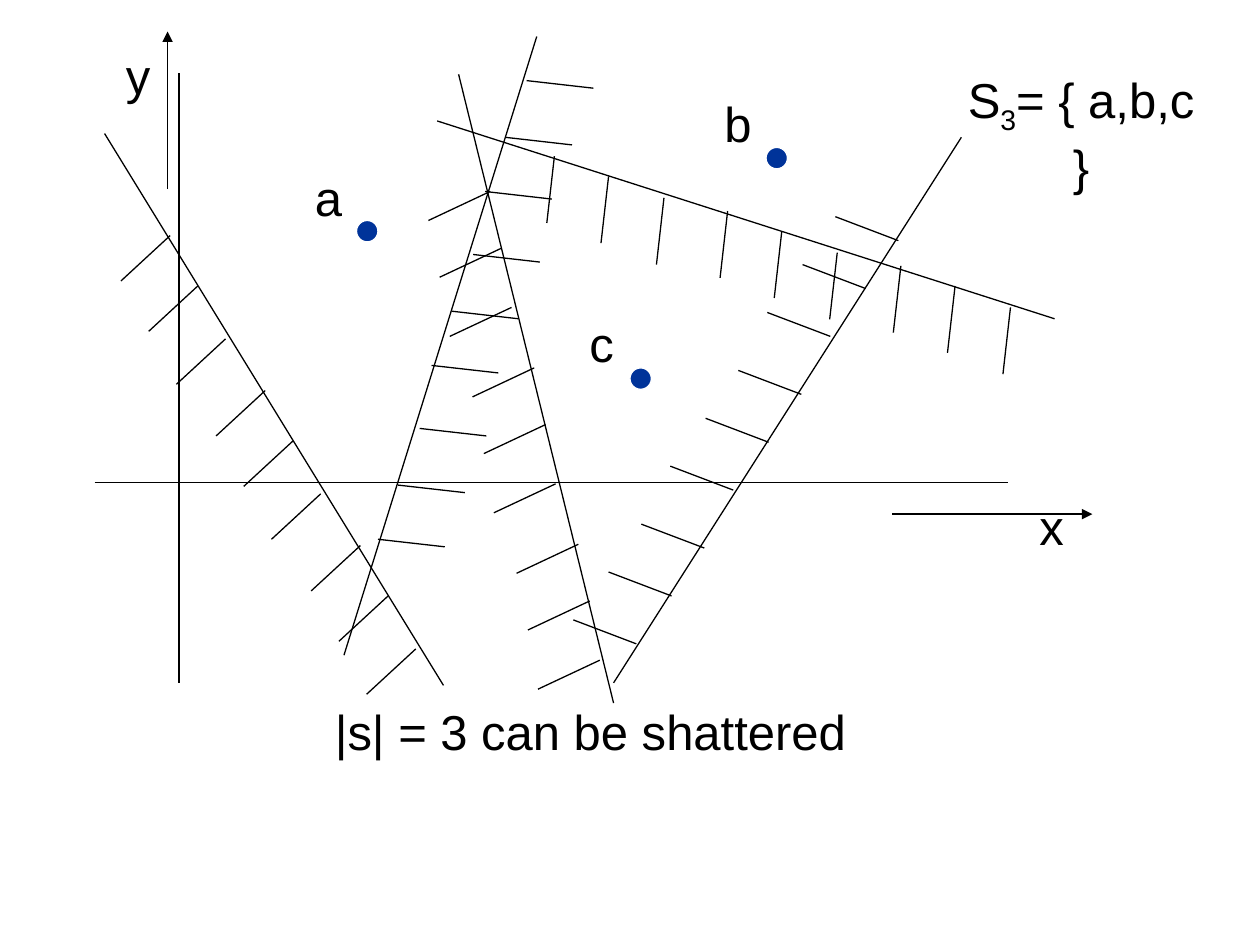
"""Build a slide showing that three points can be shattered by half-planes."""
from dataclasses import dataclass

from lxml import etree
from pptx import Presentation
from pptx.dml.color import RGBColor
from pptx.enum import shapes, text
from pptx.oxml.ns import qn
from pptx.util import Inches, Pt


@dataclass(frozen=True)
class Theme:
    """Colours, font and sizes of the slide."""
    ink: RGBColor = RGBColor(0, 0, 0)
    dot: RGBColor = RGBColor(0x00, 0x33, 0x99)
    outline: RGBColor = RGBColor(255, 255, 255)
    font: str = "Arial"
    size: int = 28
    stroke: float = 0.75


THEME = Theme()
DOT_SIZE = 0.17

AXES = [((1.42, 0.58), (1.42, 5.42)), ((0.75, 3.83), (8, 3.83))]
ARROWS = [((7.08, 4.08), (8.67, 4.08)), ((1.33, 1.5), (1.33, 0.25))]
POINTS = [(2.83, 1.75), (6.08, 1.17), (5, 2.92)]

LABELS = [
    ("a", (2.4, 1.28, 0.41, 0.57)),
    ("b", (5.65, 0.69, 0.41, 0.57)),
    ("c", (4.58, 2.44, 0.39, 0.57)),
    ("x", (8.15, 3.89, 0.39, 0.57)),
    ("y", (0.9, 0.31, 0.39, 0.57)),
    ("|s| = 3 can be shattered", (2.46, 5.52, 4.45, 0.57)),
]
SET_RUNS = [("S", 0), ("3", -25), ("= { a,b,c }", 0)]
SET_PLACE = (7.58, 0.5, 2, 1.1)

HALF_PLANES = [
    {"line": ((3.52, 5.44), (0.83, 1.06)), "first": (1.35, 1.87), "last": (2.86, 4.33),
     "offsets": [(0, 0), (0.22, 0.4), (0.44, 0.82)], "tick": (-0.39, 0.36)},
    {"line": ((8.37, 2.53), (3.47, 0.96)), "first": (4.4, 1.24), "last": (7.15, 2.11),
     "offsets": [(0, 0), (0.43, 0.16), (0.87, 0.33)], "tick": (-0.06, 0.53)},
    {"line": ((4.26, 0.29), (2.73, 5.2)), "first": (4.18, 0.64), "last": (3.33, 3.4),
     "offsets": [(0, 0), (-0.17, 0.45), (-0.33, 0.88)], "tick": (0.53, 0.06)},
    {"line": ((4.87, 5.42), (7.63, 1.09)), "first": (7.13, 1.91), "last": (5.59, 4.35),
     "offsets": [(0, 0), (-0.26, 0.38), (-0.54, 0.76)], "tick": (-0.5, -0.19)},
    {"line": ((4.87, 5.58), (3.64, 0.59)), "first": (3.89, 1.52), "last": (4.59, 4.32),
     "offsets": [(0, 0), (0.09, 0.45), (0.17, 0.92)], "tick": (-0.49, 0.23)},
]


def add_line(owner, start, end, arrow=False):
    """Draw one thin straight line, with an arrowhead at its end if asked."""
    line = owner.shapes.add_connector(
        shapes.MSO_CONNECTOR.STRAIGHT, *map(Inches, (*start, *end)))
    line.line.color.rgb = THEME.ink
    line.line.width = Pt(THEME.stroke)
    properties = line._element.spPr
    if arrow:
        etree.SubElement(properties.find(qn("a:ln")), qn("a:tailEnd"), type="triangle")
    etree.SubElement(properties, qn("a:effectLst"))


def add_half_plane(page, plane):
    """Draw a boundary line and three repeated clusters of hatch ticks."""
    group = page.shapes.add_group_shape()
    add_line(group, *plane["line"])
    (left, top), (right, bottom) = plane["first"], plane["last"]
    reach_x, reach_y = plane["tick"]
    for share in (0, 0.5, 1):
        for shift_x, shift_y in plane["offsets"]:
            x = left + share * (right - left) + shift_x
            y = top + share * (bottom - top) + shift_y
            add_line(group, (x + reach_x, y + reach_y), (x, y))


def add_point(page, place):
    """Draw one sample point."""
    dot = page.shapes.add_shape(
        shapes.MSO_SHAPE.OVAL, *map(Inches, (*place, DOT_SIZE, DOT_SIZE)))
    dot.shadow.inherit = False
    dot.fill.solid()
    dot.fill.fore_color.rgb = THEME.dot
    dot.line.color.rgb = THEME.outline
    dot.line.width = Pt(THEME.stroke)


def add_text(page, runs, place, wrap=False):
    """Write centred text from runs of wording and baseline shift in percent."""
    box = page.shapes.add_textbox(*map(Inches, place))
    frame = box.text_frame
    frame.word_wrap = wrap
    frame.auto_size = text.MSO_AUTO_SIZE.SHAPE_TO_FIT_TEXT
    para = frame.paragraphs[0]
    para.alignment = text.PP_ALIGN.CENTER
    for wording, shift in runs:
        span = para.add_run()
        span.text = wording
        span.font.name = THEME.font
        span.font.size = Pt(THEME.size)
        span.font.color.rgb = THEME.ink
        if shift:
            span.font._element.set("baseline", str(shift * 1000))


def main():
    """Assemble and save the slide."""
    deck = Presentation()
    deck.slide_width, deck.slide_height = Inches(10), Inches(7.5)
    page = deck.slides.add_slide(deck.slide_layouts[6])
    for start, end in AXES:
        add_line(page, start, end)
    for plane in HALF_PLANES:
        add_half_plane(page, plane)
    for place in POINTS:
        add_point(page, place)
    for wording, place in LABELS:
        add_text(page, [(wording, 0)], place)
    for start, end in ARROWS:
        add_line(page, start, end, arrow=True)
    add_text(page, SET_RUNS, SET_PLACE, wrap=True)
    deck.save("out.pptx")


if __name__ == "__main__":
    main()
